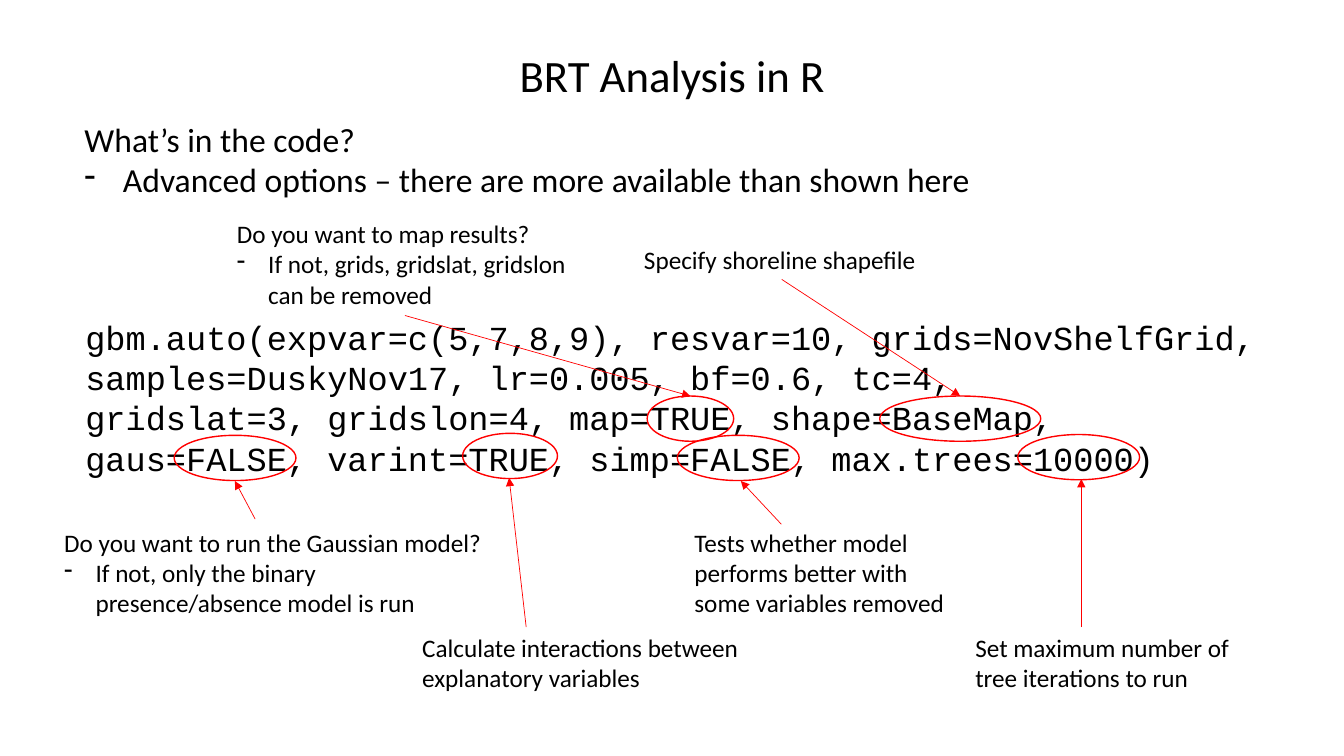
import pptx
import pptx.dml.color
import pptx.enum.shapes
import pptx.enum.text
import pptx.oxml
import pptx.oxml.ns
import pptx.util
import lxml.etree

Cm = pptx.util.Cm
Pt = pptx.util.Pt
qn = pptx.oxml.ns.qn


def colour(value):
    return pptx.dml.color.RGBColor.from_string(value)


class CodeSlide:
    INK = "000000"
    ACCENT = "FF0000"
    BODY = "Calibri"
    CODE = "Courier New"
    NOTE_SIZE = 18
    RING_HEIGHT = 1.14

    def __init__(self, presentation):
        self.shapes = presentation.slides.add_slide(presentation.slide_layouts[6]).shapes

    def text(self, box, lines, size, font=BODY, wrap=True, centred=False, hang=0.97):
        block = self.shapes.add_textbox(*[Cm(length) for length in box])
        frame = block.text_frame
        frame.word_wrap = wrap
        frame.auto_size = pptx.enum.text.MSO_AUTO_SIZE.SHAPE_TO_FIT_TEXT
        for index, line in enumerate(lines):
            paragraph = frame.paragraphs[0] if index == 0 else frame.add_paragraph()
            bulleted = line.startswith("- ")
            paragraph.text = line.removeprefix("- ")
            if bulleted:
                self.bullet(paragraph, hang)
            if centred:
                paragraph.alignment = pptx.enum.text.PP_ALIGN.CENTER
            for run in paragraph.runs:
                run.font.name = font
                run.font.size = Pt(size)
                run.font.color.rgb = colour(self.INK)
        return block

    def bullet(self, paragraph, hang):
        properties = paragraph._p.get_or_add_pPr()
        properties.set("marL", str(Cm(hang)))
        properties.set("indent", str(-Cm(hang)))
        lxml.etree.SubElement(properties, qn("a:buFontTx"))
        lxml.etree.SubElement(properties, qn("a:buChar")).set("char", "-")

    def note(self, box, lines, wrap=True):
        return self.text(box, lines, self.NOTE_SIZE, wrap=wrap, hang=0.79)

    def ring(self, left, top, width):
        oval = self.shapes.add_shape(
            pptx.enum.shapes.MSO_SHAPE.OVAL, Cm(left), Cm(top), Cm(width), Cm(self.RING_HEIGHT))
        oval.shadow.inherit = False
        oval.fill.background()
        oval.line.color.rgb = colour(self.ACCENT)
        oval.line.width = Pt(1)
        return oval

    def arrow(self, start, end):
        pointer = self.shapes.add_connector(
            pptx.enum.shapes.MSO_CONNECTOR.STRAIGHT, *[Cm(length) for length in start + end])
        pointer.line.color.rgb = colour(self.ACCENT)
        pointer.line.width = Pt(0.5)
        outline = pointer.line._get_or_add_ln()
        lxml.etree.SubElement(outline, qn("a:tailEnd")).set("type", "triangle")
        lxml.etree.SubElement(pointer._element.spPr, qn("a:effectLst"))
        return pointer


def main():
    presentation = pptx.Presentation()
    presentation.slide_width = Cm(33.87)
    presentation.slide_height = Cm(19.05)
    slide = CodeSlide(presentation)

    slide.text((12.8, 1.09, 8.28, 1.63), ["BRT Analysis in R"], 32, wrap=False, centred=True)
    slide.text((1.88, 2.87, 23.04, 2.31), [
        "What’s in the code?",
        "- Advanced options – there are more available than shown here",
    ], 24, wrap=False)
    slide.text((1.9, 7.85, 30.48, 4.37), [
        "gbm.auto(expvar=c(5,7,8,9), resvar=10, grids=NovShelfGrid, "
        "samples=DuskyNov17, lr=0.005, bf=0.6, tc=4,",
        "gridslat=3, gridslon=4, map=TRUE, shape=BaseMap, "
        "gaus=FALSE, varint=TRUE, simp=FALSE, max.trees=10000)",
    ], 24, font=slide.CODE)

    options_above = [
        ((5.72, 5.38, 8.97, 2.57), ["Do you want to map results?",
         "- If not, grids, gridslat, gridslon can be removed"], True, (16.31, 9.98, 2.18)),
        ((15.98, 6.02, 7.44, 1.02), ["Specify shoreline shapefile"], False, (22.17, 9.98, 4.06)),
    ]
    for box, lines, wrap, ring in options_above:
        question = slide.note(box, lines, wrap)
        argument = slide.ring(*ring)
        pointer = slide.arrow((0, 0), (1, 1))
        pointer.begin_connect(question, 2)
        pointer.end_connect(argument, 0)

    options_below = [
        ((1.37, 13.16, 11.13, 2.57), ["Do you want to run the Gaussian model?",
         "- If not, only the binary presence/absence model is run"],
         (4.39, 10.97, 3.07), (6.43, 13.08), (5.92, 12.12)),
        ((10.39, 15.8, 8.59, 1.8), ["Calculate interactions between explanatory variables"],
         (11.66, 10.92, 2.39), (13.26, 15.8), (12.83, 12.04)),
        ((17.25, 13.16, 7.19, 2.57),
         ["Tests whether model performs better with some variables removed"],
         (17.07, 10.97, 3.07), (19.69, 13.21), (18.67, 12.12)),
        ((24.33, 15.8, 7.06, 1.8), ["Set maximum number of tree iterations to run"],
         (25.65, 10.95, 3.07), (27.25, 15.8), (27.25, 12.07)),
    ]
    for box, lines, ring, start, end in options_below:
        slide.note(box, lines)
        slide.ring(*ring)
        slide.arrow(start, end)

    presentation.save("out.pptx")


if __name__ == "__main__":
    main()
